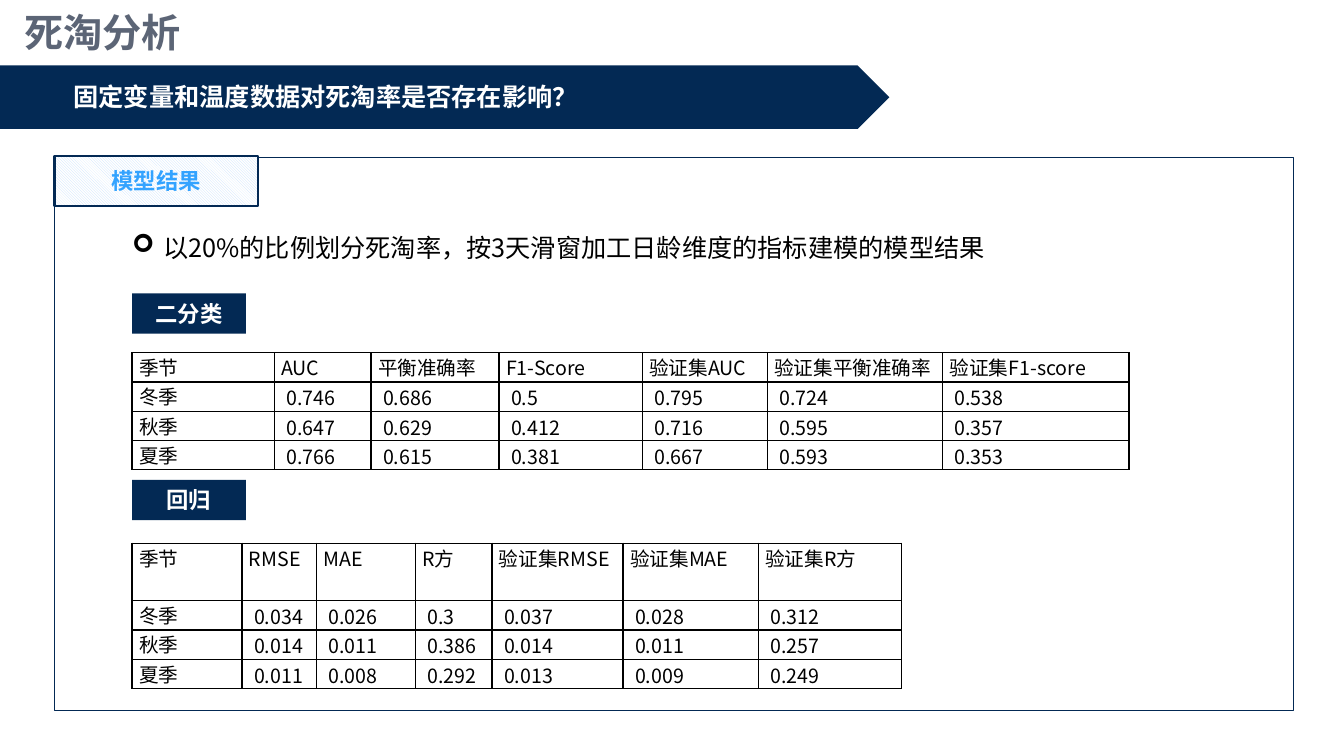
from lxml import etree
from pptx import Presentation
from pptx import util as u
from pptx.dml.color import RGBColor
from pptx.enum import dml, shapes, text
from pptx.oxml import ns

FONT = "Noto Sans CJK SC"
NAVY, WHITE, BLACK, GREY, BLUE = "032954", "FFFFFF", "000000", "5C6576", "33A3FF"
LEFT, CENTER, JUSTIFY = text.PP_ALIGN.LEFT, text.PP_ALIGN.CENTER, text.PP_ALIGN.JUSTIFY
MIDDLE, TOP = text.MSO_ANCHOR.MIDDLE, text.MSO_ANCHOR.TOP

CLASSIFICATION = [
    ["季节", "AUC", "平衡准确率", "F1-Score", "验证集AUC", "验证集平衡准确率", "验证集F1-score"],
    ["冬季", "0.746", "0.686", "0.5", "0.795", "0.724", "0.538"],
    ["秋季", "0.647", "0.629", "0.412", "0.716", "0.595", "0.357"],
    ["夏季", "0.766", "0.615", "0.381", "0.667", "0.593", "0.353"],
]
REGRESSION = [
    ["季节", "RMSE", "MAE", "R方", "验证集RMSE", "验证集MAE", "验证集R方"],
    ["冬季", "0.034", "0.026", "0.3", "0.037", "0.028", "0.312"],
    ["秋季", "0.014", "0.011", "0.386", "0.014", "0.011", "0.257"],
    ["夏季", "0.011", "0.008", "0.292", "0.013", "0.009", "0.249"],
]


def color(value):
    return RGBColor.from_string(value)


def inches(*values):
    return [u.Inches(v) for v in values]


def sub(parent, tag, **attrs):
    return etree.SubElement(parent, ns.qn(tag), **attrs)


def write(p, words, size, rgb, bold=False, align=LEFT):
    p.add_run().text = words
    p.alignment = align
    font = p.font
    font.size, font.bold, font.name = u.Pt(size), bold, FONT
    font.color.rgb = color(rgb)
    # East Asian typeface
    sub(p._p.pPr.find(ns.qn("a:defRPr")), "a:ea", typeface=FONT)


def set_margins(target, left, top, right, bottom):
    (target.margin_left, target.margin_top,
     target.margin_right, target.margin_bottom) = inches(left, top, right, bottom)


def add_text(slide, box, words, size, rgb, bold=False):
    tf = slide.shapes.add_textbox(*inches(*box)).text_frame
    tf.word_wrap = True
    tf.vertical_anchor = MIDDLE
    set_margins(tf, 0.13, 0.07, 0.13, 0.07)
    write(tf.paragraphs[0], words, size, rgb, bold)


def add_block(slide, box, fill=None, line=None, kind=shapes.MSO_SHAPE.RECTANGLE):
    sp = slide.shapes.add_shape(kind, *inches(*box))
    sp.shadow.inherit = False
    if fill:
        sp.fill.solid()
        sp.fill.fore_color.rgb = color(fill)
    else:
        sp.fill.background()
    if line:
        sp.line.color.rgb = color(NAVY)
        sp.line.width = u.Pt(line)
    else:
        sp.line.fill.background()
    return sp


def add_label(sp, words, rgb):
    tf = sp.text_frame
    tf.vertical_anchor = MIDDLE
    write(tf.paragraphs[0], words, 16, rgb, True, CENTER)


def add_header(slide, x, y, title, question):
    add_block(slide, (x, y, 8.82, 0.63), NAVY, kind=shapes.MSO_SHAPE.PENTAGON)
    add_text(slide, (x + 0.6, y - 0.04, 7.93, 0.7), question, 18, WHITE, True)
    add_text(slide, (x + 0.11, y - 0.68, 12.29, 0.7), title, 28, GREY, True)


def add_panel(slide, x, y, w, h, heading):
    add_block(slide, (x, y, w, h), line=1)
    tab = add_block(slide, (x, y - 0.01, 2.02, 0.49), line=1.5)
    tab.fill.patterned()
    tab.fill.pattern = dml.MSO_PATTERN.LIGHT_DOWNWARD_DIAGONAL
    tab.fill.fore_color.rgb = color("C6E0FD")
    tab.fill.back_color.rgb = color(WHITE)
    add_label(tab, heading, BLUE)


def add_bullet(slide, box, words):
    tf = slide.shapes.add_textbox(*inches(*box)).text_frame
    tf.word_wrap = True
    tf.auto_size = text.MSO_AUTO_SIZE.SHAPE_TO_FIT_TEXT
    set_margins(tf, 0, 0, 0, 0)
    p = tf.paragraphs[0]
    pPr = p._p.get_or_add_pPr()
    indent = u.Inches(0.31)
    pPr.set("marL", str(indent))
    pPr.set("indent", str(-indent))
    sub(pPr, "a:buFont", typeface="Wingdings")
    sub(pPr, "a:buChar", char="➢")
    write(p, words, 18, BLACK)


def add_borders(cell):
    tcPr = cell._tc.get_or_add_tcPr()
    for i, side in enumerate(("a:lnL", "a:lnR", "a:lnT", "a:lnB")):
        ln = etree.Element(ns.qn(side), w=str(u.Pt(1)))
        sub(sub(ln, "a:solidFill"), "a:srgbClr", val=BLACK)
        tcPr.insert(i, ln)


def add_results(slide, x, y, gap, name, rows, widths, header_height):
    # Label above the table
    add_label(add_block(slide, (x, y, 1.13, 0.4), NAVY), name, WHITE)

    # Table with season names down the side
    heights = [header_height] + [0.29] * (len(rows) - 1)
    table = slide.shapes.add_table(
        len(rows), len(widths), *inches(x, y + gap, sum(widths), sum(heights))).table
    table.first_row = table.horz_banding = False
    for column, width in zip(table.columns, widths):
        column.width = u.Inches(width)
    for r, (row, height) in enumerate(zip(rows, heights)):
        table.rows[r].height = u.Inches(height)
        for c, words in enumerate(row):
            cell = table.cell(r, c)
            is_value = r > 0 and c > 0
            set_margins(cell, *((0.12, 0.01, 0.01, 0) if is_value else (0.07, 0, 0.07, 0)))
            cell.vertical_anchor = MIDDLE if is_value else TOP
            write(cell.text_frame.paragraphs[0], words, 14, BLACK,
                  align=LEFT if is_value else JUSTIFY)
            cell.fill.background()
            add_borders(cell)


def main():
    prs = Presentation()
    prs.slide_width, prs.slide_height = inches(13.33, 7.5)
    slide = prs.slides.add_slide(prs.slide_layouts[6])

    add_header(slide, 0, 0.65, "死淘分析", "固定变量和温度数据对死淘率是否存在影响？")
    add_panel(slide, 0.54, 1.56, 12.29, 5.49, "模型结果")
    add_bullet(slide, (1.31, 2.3, 9.04, 0.3),
               "以20%的比例划分死淘率，按3天滑窗加工日龄维度的指标建模的模型结果")
    add_results(slide, 1.31, 2.91, 0.59, "二分类", CLASSIFICATION,
                [1.41, 0.96, 1.27, 1.42, 1.24, 1.74, 1.85], 0.29)
    add_results(slide, 1.31, 4.76, 0.63, "回归", REGRESSION,
                [1.09, 0.74, 0.98, 0.76, 1.3, 1.34, 1.42], 0.57)

    prs.save("out.pptx")


if __name__ == "__main__":
    main()
